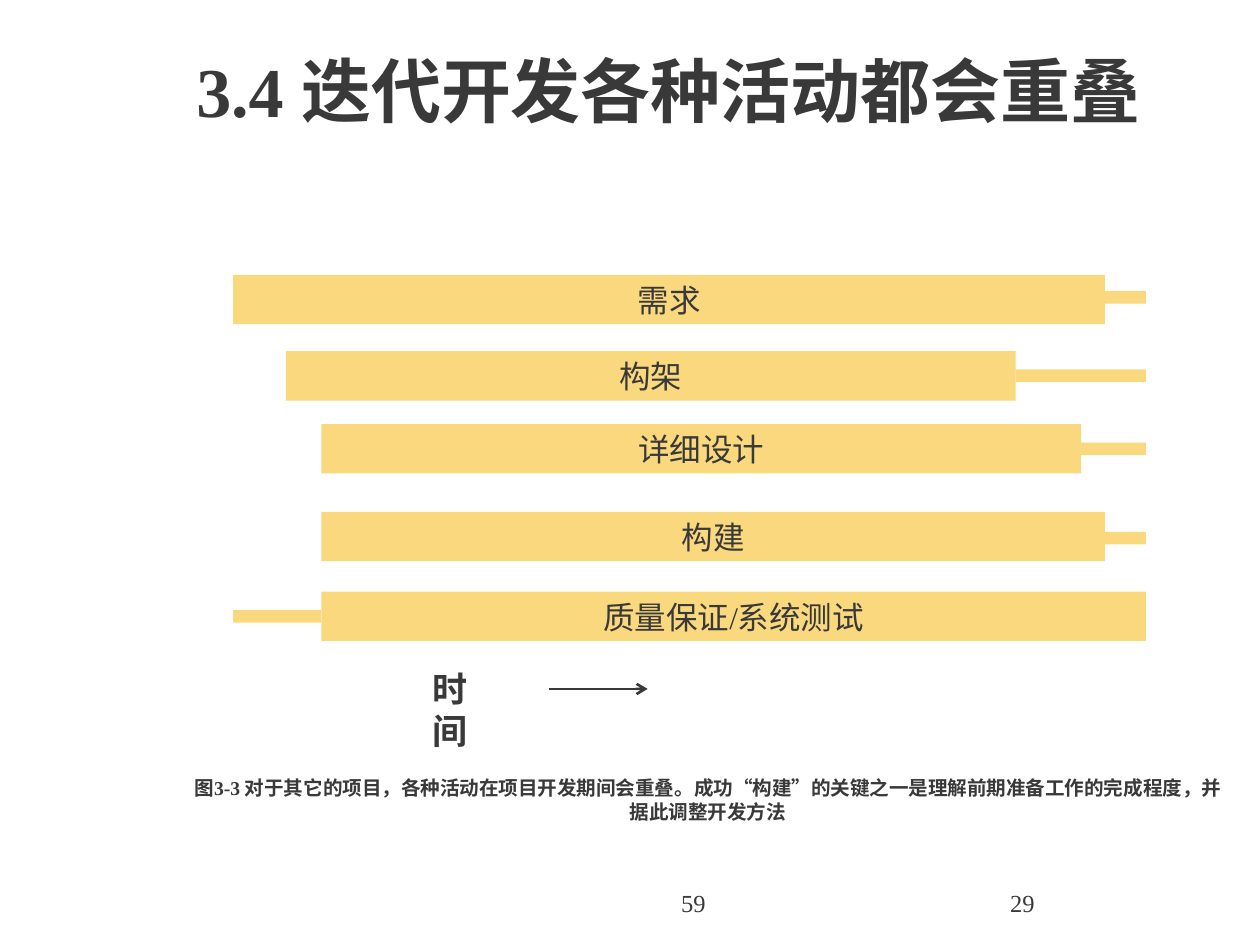
from typing import NamedTuple

from lxml import etree
from pptx import Presentation
from pptx.dml.color import RGBColor
from pptx.enum.shapes import MSO_CONNECTOR, MSO_SHAPE
from pptx.enum.text import MSO_ANCHOR, PP_ALIGN
from pptx.oxml.ns import qn
from pptx.util import Pt

RECTANGLE = MSO_SHAPE.RECTANGLE
STRAIGHT = MSO_CONNECTOR.STRAIGHT
LEFT, CENTER = PP_ALIGN.LEFT, PP_ALIGN.CENTER
TOP, MIDDLE = MSO_ANCHOR.TOP, MSO_ANCHOR.MIDDLE

COLORS = {"ink": "393939", "bar": "F9D87E"}
FONT = "Times New Roman"
CHART_START, CHART_END = 133.2, 654.8
BAR_HEIGHT, TAIL_HEIGHT = 28.2, 7.2


class Activity(NamedTuple):
    name: str
    start: float
    end: float
    top: float
    tail_top: float


class Label(NamedTuple):
    text: str
    left: float
    top: float
    width: float
    height: float
    size: float
    bold: bool = False
    align: PP_ALIGN = LEFT
    anchor: MSO_ANCHOR = TOP
    wrap: bool = True


ACTIVITIES = [
    Activity("需求", CHART_START, 631.4, 157, 166.3),
    Activity("构架", 163.4, 580.4, 200.7, 211.1),
    Activity("详细设计", 183.6, 617.8, 242.4, 252.9),
    Activity("构建", 183.6, 631.4, 292.5, 304),
    Activity("质量保证/系统测试", 183.6, CHART_END, 338, 348.6),
]

LABELS = [
    Label("3.4 迭代开发各种活动都会重叠", 105.1, 3.6, 612, 95, 40, bold=True, anchor=MIDDLE),
    Label("59", 282.2, 504, 228.2, 36, 14, align=CENTER),
    Label("29", 570.2, 504, 149.8, 36, 14),
    Label("图3-3 对于其它的项目，各种活动在项目开发期间会重叠。成功“构建”的关键之一是"
          "理解前期准备工作的完成程度，并据此调整开发方法",
          98.6, 439.9, 612, 36, 11.2, bold=True, align=CENTER),
    Label("时间", 239.8, 378, 54, 31.7, 20, bold=True, wrap=False),
]


def write_text(shape, text: str, size: float, bold: bool, align, anchor, wrap: bool) -> None:
    frame = shape.text_frame
    frame.text = text
    frame.word_wrap = wrap
    frame.vertical_anchor = anchor
    para = frame.paragraphs[0]
    para.alignment = align
    font = para.runs[0].font
    font.name = FONT
    font.size = Pt(size)
    font.bold = bold
    font.color.rgb = RGBColor.from_string(COLORS["ink"])


def add_label(page, label: Label) -> None:
    box = page.shapes.add_textbox(
        Pt(label.left), Pt(label.top), Pt(label.width), Pt(label.height))
    write_text(box, label.text, label.size, label.bold, label.align, label.anchor, label.wrap)


def add_bar(page, start: float, end: float, top: float, height: float):
    bar = page.shapes.add_shape(RECTANGLE, Pt(start), Pt(top), Pt(end - start), Pt(height))
    bar.shadow.inherit = False
    bar.fill.solid()
    bar.fill.fore_color.rgb = RGBColor.from_string(COLORS["bar"])
    bar.line.fill.background()
    return bar


def add_activity(page, activity: Activity) -> None:
    """Draw the main bar and the thin tail that fills the rest of the time span."""
    bar = add_bar(page, activity.start, activity.end, activity.top, BAR_HEIGHT)
    write_text(bar, activity.name, 18, False, CENTER, TOP, False)
    if activity.end < CHART_END:
        tail_start, tail_end = activity.end, CHART_END
    else:
        tail_start, tail_end = CHART_START, activity.start
    add_bar(page, tail_start, tail_end, activity.tail_top, TAIL_HEIGHT)


def add_time_arrow(page, start: float, end: float, y: float) -> None:
    arrow = page.shapes.add_connector(STRAIGHT, Pt(start), Pt(y), Pt(end), Pt(y))
    arrow.line.color.rgb = RGBColor.from_string(COLORS["ink"])
    arrow.line.width = Pt(1.5)
    etree.SubElement(arrow.line._get_or_add_ln(), qn("a:tailEnd"), type="arrow")
    etree.SubElement(arrow._element.spPr, qn("a:effectLst"))


def main() -> None:
    deck = Presentation()
    deck.slide_width, deck.slide_height = Pt(720), Pt(540)
    page = deck.slides.add_slide(deck.slide_layouts[6])
    for label in LABELS:
        add_label(page, label)
    for activity in ACTIVITIES:
        add_activity(page, activity)
    add_time_arrow(page, 313.9, 370.1, 393.7)
    deck.save("out.pptx")


if __name__ == "__main__":
    main()
